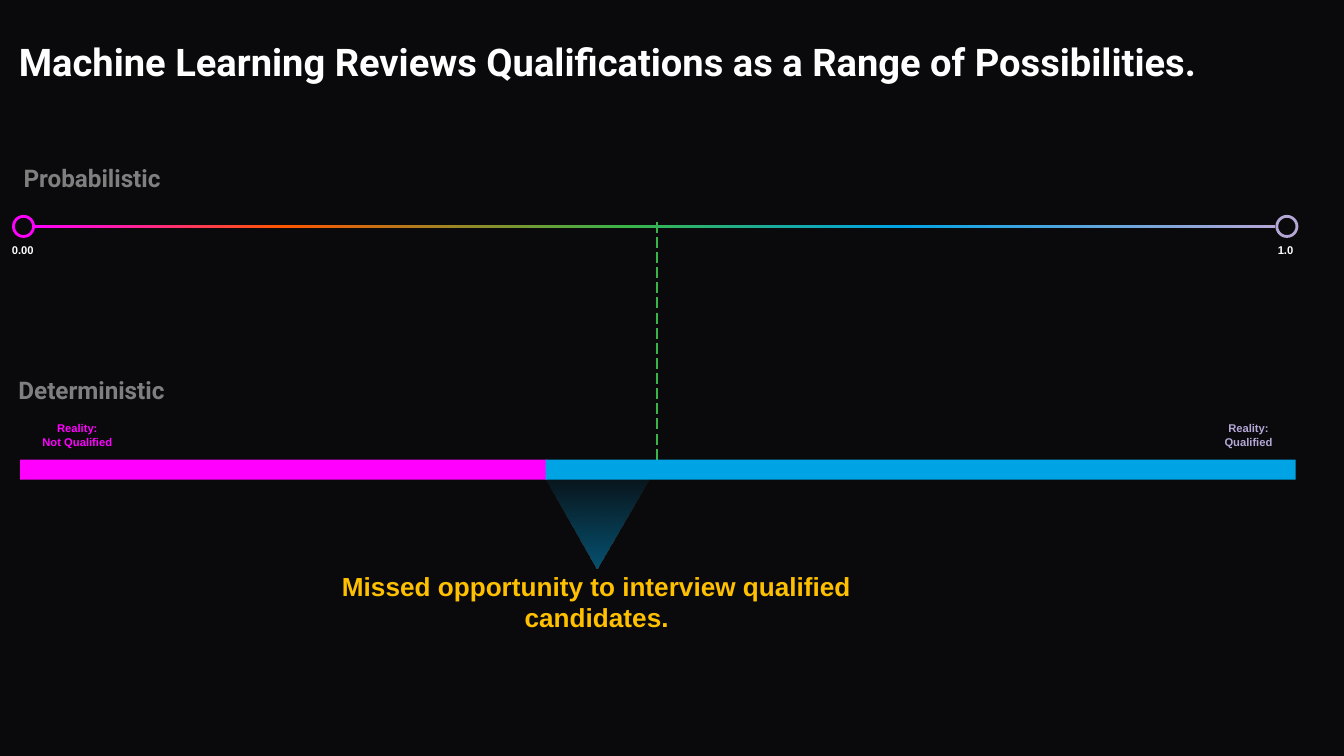
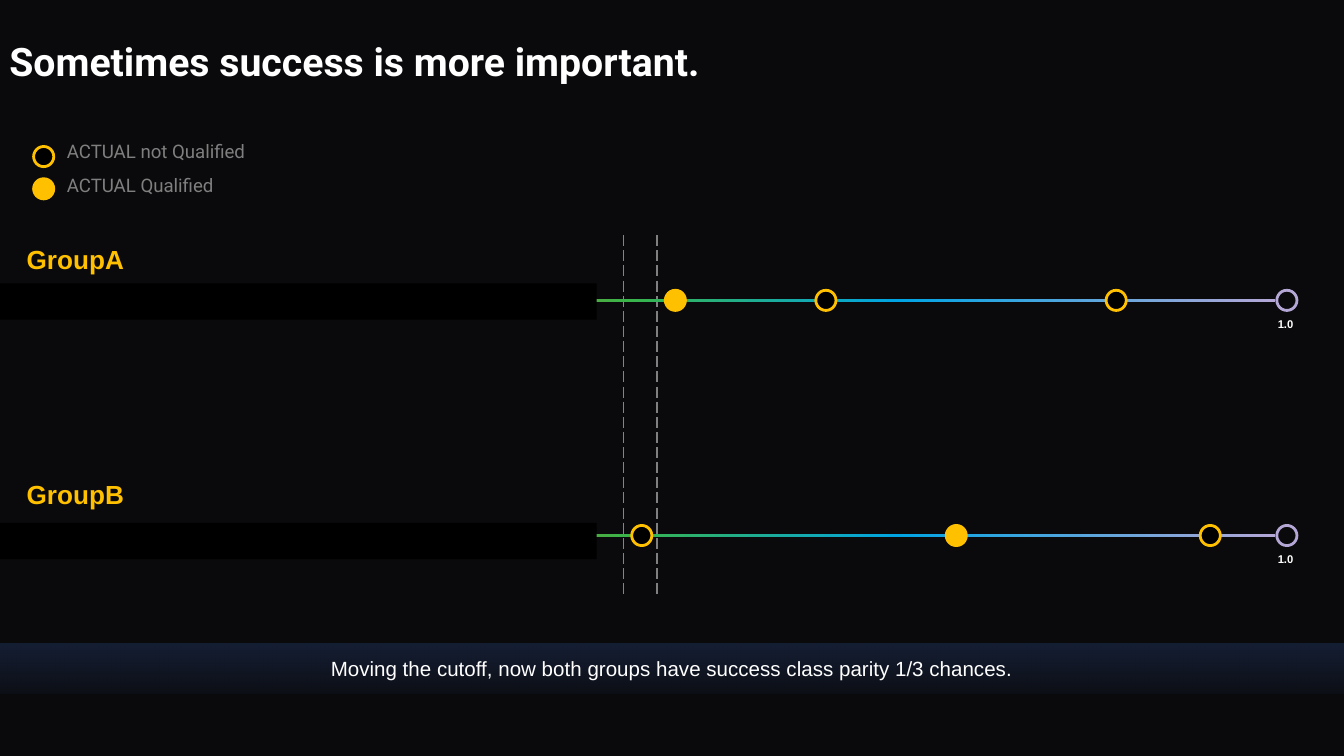
import pptx
import pptx.util
import pptx.dml.color
import pptx.enum.dml
import pptx.enum.shapes
import pptx.enum.text
import lxml.etree

inch = pptx.util.Inches
kind = pptx.enum.shapes.MSO_SHAPE
ns = "{http://schemas.openxmlformats.org/drawingml/2006/main}"
hues = {
    "back": "0A0A0C", "black": "000000", "white": "FFFFFF", "gray": "7F7F7F",
    "dash": "808080", "pink": "FF00FF", "red": "FF5600", "green": "39B54A",
    "blue": "00A4E4", "mauve": "B4A7D6", "gold": "FFC000", "navy": "1A2846",
}
rgb = {name: pptx.dml.color.RGBColor.from_string(code) for name, code in hues.items()}


def text(slide, box, words, size, hue, font="Arial", bold=True, align="LEFT",
         anchor="MIDDLE", pad=0.1, space=None):
    frame = slide.shapes.add_textbox(*map(inch, box)).text_frame
    frame.word_wrap = True
    frame.vertical_anchor = pptx.enum.text.MSO_ANCHOR[anchor]
    frame.margin_left = frame.margin_right = inch(pad)
    frame.margin_top = frame.margin_bottom = inch(pad)
    frame.text = words
    for para in frame.paragraphs:
        para.alignment = pptx.enum.text.PP_ALIGN[align]
        para.line_spacing = space
        para.font.name = font
        para.font.size = pptx.util.Pt(size)
        para.font.bold = bold
        para.font.color.rgb = rgb[hue]


def paint(shape, *fill, line=None, angle=0, alphas=()):
    shape.shadow.inherit = False
    if len(fill) == 1:
        shape.fill.solid()
        shape.fill.fore_color.rgb = rgb[fill[0]]
    else:
        shape.fill.gradient()
        shape.fill.gradient_angle = angle
        for stop, hue in zip(shape.fill.gradient_stops, fill):
            stop.color.rgb = rgb[hue]
        for node, alpha in zip(shape.element.spPr.iter(ns + "srgbClr"), alphas):
            lxml.etree.SubElement(node, ns + "alpha", val=str(alpha * 1000))
    if line:
        shape.line.color.rgb = rgb[line]
        shape.line.width = pptx.util.Pt(1.5)
    else:
        shape.line.fill.background()


deck = pptx.Presentation()
deck.slide_width, deck.slide_height = inch(10), inch(10 * 9 / 16)

titles = [
    (0.1, 9.39, 20.4, "Machine Learning Reviews Qualifications as a Range of Possibilities."),
    (0.03, 9.85, 21, "Sometimes success is more important."),
]
for left, width, size, words in titles:
    slide = deck.slides.add_slide(deck.slide_layouts[6])
    slide.background.fill.solid()
    slide.background.fill.fore_color.rgb = rgb["back"]
    text(slide, (left, 0.15, width, 0.65), words, size, "white", font="Roboto",
         pad=0.04, space=0.9)
range_, parity = deck.slides

cuts = [
    (range_, 4.89, 1.65, 3.53, "green"),
    (parity, 4.64, 1.75, 4.45, "green"),
    (parity, 4.89, 1.75, 4.45, "dash"),
]
for slide, left, top, end, hue in cuts:
    cut = slide.shapes.add_connector(
        pptx.enum.shapes.MSO_CONNECTOR.STRAIGHT, *map(inch, (left, top, left, end)))
    cut.line.color.rgb = rgb[hue]
    cut.line.width = pptx.util.Pt(0.75)
    cut.line.dash_style = pptx.enum.dml.MSO_LINE.LONG_DASH
    lxml.etree.SubElement(cut.element.spPr, ns + "effectLst")

dot, thick = 0.15, 0.02
edges = [0.25, 2.1, 4.67, 6.68, 9.49]
ramp = ["pink", "red", "green", "blue", "mauve"]
scales = [(range_, 1.61, 0), (parity, 2.16, 1), (parity, 3.91, 1)]
for slide, top, first in scales:
    for i in range(first, 4):
        bar = slide.shapes.add_shape(
            kind.RECTANGLE, inch(edges[i]), inch(top + (dot - thick) / 2),
            inch(edges[i + 1] - edges[i]), inch(thick))
        paint(bar, ramp[i], ramp[i + 1])
    ends = [(0.1, "pink", -0.11, 0.56, "0.00"), (9.5, "mauve", 9.26, 0.61, "1.0")]
    for left, hue, start, width, words in ends[first:]:
        ring = slide.shapes.add_shape(kind.OVAL, *map(inch, (left, top, dot, dot)))
        paint(ring, "back", line=hue)
        text(slide, (start, top + dot, width, 0.19), words, 6, "white",
             align="CENTER", anchor="TOP", pad=0.05)

wedge = range_.shapes.build_freeform(inch(3.99), inch(3.44), 1)
wedge.add_line_segments([(inch(4.9), inch(3.44)), (inch(4.44), inch(4.23))])
paint(wedge.convert_to_shape(), "blue", "blue", angle=270, alphas=(0, 47))
text(range_, (2.22, 4.14, 4.44, 0.67),
     "Missed opportunity to interview qualified candidates.", 14, "gold", align="CENTER")

for left, width, hue in [(0.15, 3.92, "pink"), (4.06, 5.58, "blue")]:
    bar = range_.shapes.add_shape(kind.RECTANGLE, *map(inch, (left, 3.42, width, 0.15)))
    paint(bar, hue)
for left, width, words, hue in [
        (0.2, 0.75, "Reality:\nNot Qualified", "pink"),
        (8.96, 0.66, "Reality: Qualified", "mauve")]:
    text(range_, (left, 3.14, width, 0.19), words, 6, hue, align="CENTER", pad=0)
for box, words, pad in [
        ((-0.01, 2.74, 1.38, 0.32), "Deterministic", 0.05),
        ((0.02, 1.11, 1.33, 0.42), "Probabilistic", 0.1)]:
    text(range_, box, words, 13, "gray", font="Roboto", align="CENTER", pad=pad)

groups = [
    ("GroupA", 2.16, 2.11, [(4.95, "gold"), (6.07, "black"), (8.23, "black")]),
    ("GroupB", 3.91, 3.89, [(4.7, "black"), (7.04, "gold"), (8.93, "black")]),
]
dots = [(0.25, 1.09, "black"), (0.25, 1.33, "gold")]
for name, top, mask, marks in groups:
    text(parity, (0.1, top - 0.45, 1.73, 0.43), name, 14, "gold")
    cover = parity.shapes.add_shape(kind.RECTANGLE, *map(inch, (0, mask, 4.44, 0.27)))
    paint(cover, "black")
    dots += [(left, top, hue) for left, hue in marks]
for left, top, hue in dots:
    mark = parity.shapes.add_shape(kind.OVAL, *map(inch, (left, top, dot, dot)))
    paint(mark, hue, line="gold")

for top, width, words in [(0.96, 2, "ACTUAL not Qualified"), (1.21, 1.57, "ACTUAL Qualified")]:
    text(parity, (0.4, top, width, 0.37), words, 10, "gray", font="Roboto",
         bold=False, anchor="TOP")

band = parity.shapes.add_shape(kind.RECTANGLE, *map(inch, (0, 4.79, 10, 0.37)))
paint(band, "navy", "navy", angle=270, alphas=(70, 15))
text(parity, (0, 4.78, 10, 0.38),
     "Moving the cutoff, now both groups have success class parity 1/3 chances.",
     11, "white", bold=False, align="CENTER")

deck.save("out.pptx")
